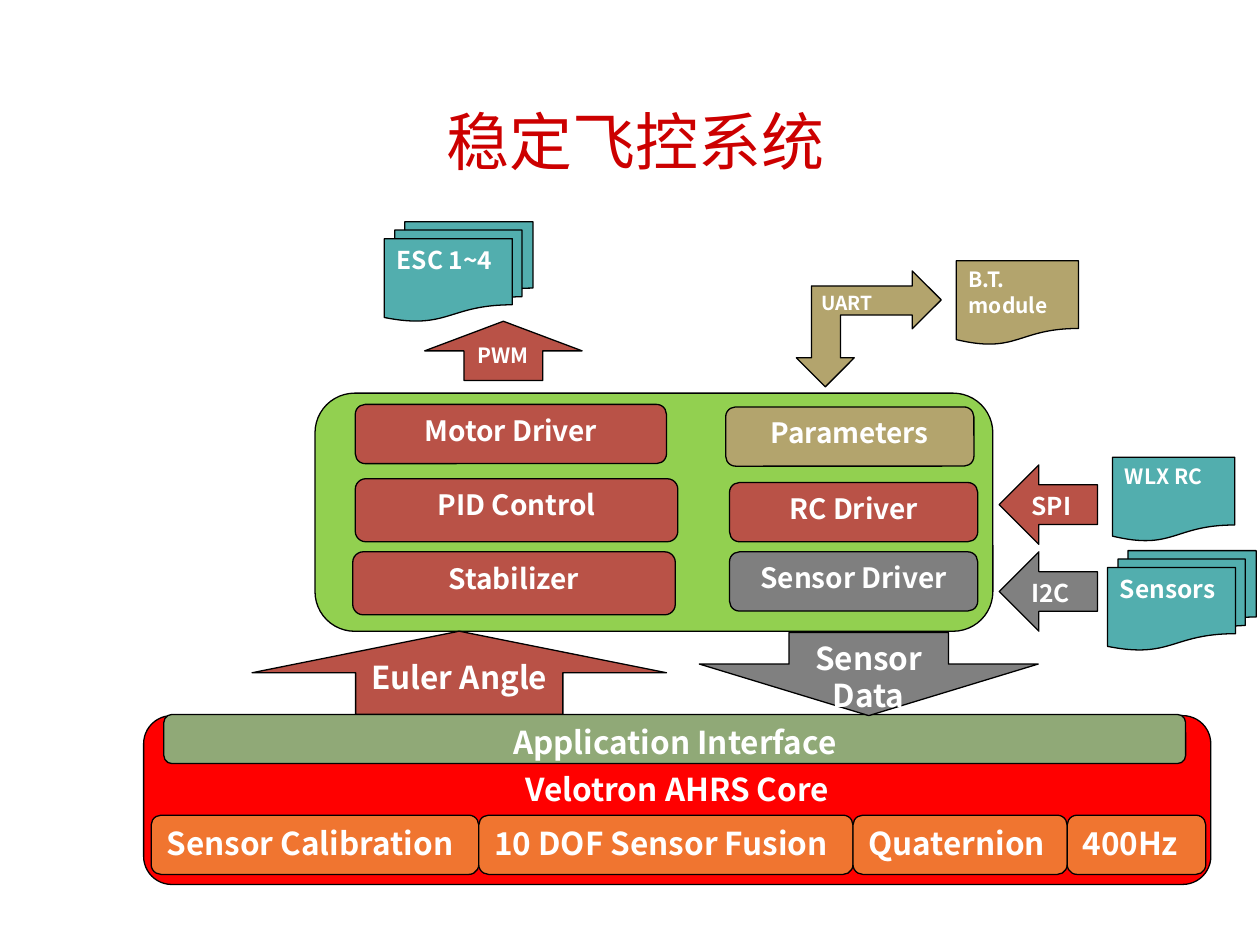
from collections import namedtuple

from pptx import Presentation
from pptx.dml.color import RGBColor
from pptx.enum.shapes import MSO_SHAPE
from pptx.enum.text import MSO_ANCHOR, MSO_AUTO_SIZE, PP_ALIGN
from pptx.util import Inches, Pt

LEFT, CENTER = PP_ALIGN.LEFT, PP_ALIGN.CENTER
TOP, MIDDLE = MSO_ANCHOR.TOP, MSO_ANCHOR.MIDDLE
ROUND = MSO_SHAPE.ROUNDED_RECTANGLE
PROCESS = MSO_SHAPE.FLOWCHART_ALTERNATE_PROCESS
DOCUMENT = MSO_SHAPE.FLOWCHART_DOCUMENT
MULTI = MSO_SHAPE.FLOWCHART_MULTIDOCUMENT
UP, DOWN, TO_LEFT = MSO_SHAPE.UP_ARROW, MSO_SHAPE.DOWN_ARROW, MSO_SHAPE.LEFT_ARROW

WIDTH, HEIGHT = Inches(10), Inches(7.5)
COLUMNS, ROWS = 1000, 750
COL, ROW = WIDTH / COLUMNS, HEIGHT / ROWS

BODY_FONT, TITLE_FONT = "Noto Sans CJK SC", "Arial"
COLORS = {
    "title": "CC0000", "text": "FFFFFF", "outline": "000000",
    "core": "FF0000", "module": "F07530", "interface": "90A977",
    "controller": "92D050", "control": "B95247", "sensor": "808080",
    "sensor_driver": "7F7F7F", "device": "52AEAE", "wireless": "B3A46D",
}


class Box(namedtuple("Box", "x y w h")):
    """Area in grid columns and rows."""

    def inner(self, dx, dy, w, h):
        return Box(self.x + dx, self.y + dy, w, h)

    def emu(self):
        return (round(self.x * COL), round(self.y * ROW),
                round(self.w * COL), round(self.h * ROW))


def color(key):
    return RGBColor.from_string(COLORS[key])


def write(frame, text, size, align=CENTER, font=BODY_FONT, key="text", bold=True):
    frame.word_wrap = True
    frame.margin_left = frame.margin_right = Inches(0.1)
    frame.margin_top = frame.margin_bottom = Inches(0.05)
    frame.vertical_anchor = TOP
    frame.text = text
    paragraph = frame.paragraphs[0]
    paragraph.alignment = align
    paragraph.font.name = font
    paragraph.font.size = Pt(size)
    paragraph.font.bold = bold
    paragraph.font.color.rgb = color(key)


def paint(shape, key):
    shape.shadow.inherit = False
    shape.fill.solid()
    shape.fill.fore_color.rgb = color(key)
    shape.line.color.rgb = color("outline")
    shape.line.width = Pt(0.75)


def block(slide, kind, box, key, text="", size=18, align=CENTER, adjust=()):
    shape = slide.shapes.add_shape(kind, *box.emu())
    paint(shape, key)
    for index, value in enumerate(adjust):
        shape.adjustments[index] = value
    if text:
        write(shape.text_frame, text, size, align)
    return shape


def add_title(slide, box):
    title = slide.shapes.title
    title.left, title.top, title.width, title.height = box.emu()
    write(title.text_frame, "稳定飞控系统", 36, font=TITLE_FONT, key="title", bold=False)
    title.text_frame.vertical_anchor = MIDDLE
    title.text_frame.auto_size = MSO_AUTO_SIZE.NONE


def add_core(slide, box):
    core = block(slide, PROCESS, box, "core", "Velotron AHRS Core")
    core.text_frame.margin_top = Inches(0.37)
    left = 6
    for text, width in (("Sensor Calibration", 260), ("10 DOF Sensor Fusion", 297),
                        ("Quaternion", 170), ("400Hz", 110)):
        block(slide, PROCESS, box.inner(left, 79, width, 47), "module", text, align=LEFT)
        left += width
    block(slide, PROCESS, box.inner(16, -1, 811, 39), "interface", "Application Interface")


def add_controller(slide, box):
    block(slide, ROUND, box, "controller")
    for text, key, *place in (
        ("Motor Driver", "control", 32, 9, 247, 47),
        ("PID Control", "control", 32, 68, 256, 50),
        ("Stabilizer", "control", 30, 126, 256, 50),
        ("Parameters", "wireless", 326, 11, 197, 47),
        ("RC Driver", "control", 329, 71, 197, 47),
        ("Sensor Driver", "sensor_driver", 329, 126, 197, 47),
    ):
        block(slide, ROUND, box.inner(*place), key, text, 16)


def add_core_links(slide, box):
    block(slide, DOWN, box.inner(355, 1, 269, box.h), "sensor", "Sensor Data",
          adjust=(0.47, 0.62))
    block(slide, UP, box.inner(0, 0, 329, box.h), "control", "Euler Angle")


def add_motor_output(slide, box):
    block(slide, UP, box.inner(32, 79, 125, 47), "control", "PWM", 12)
    block(slide, MULTI, box.inner(0, 0, 118, 79), "device", "ESC 1~4", 14, LEFT)


def add_inputs(slide, box):
    block(slide, TO_LEFT, box.inner(0, 6, 78, 63), "control", "SPI", 14, LEFT)
    block(slide, DOCUMENT, box.inner(90, 0, 97, 67), "device", "WLX RC", 12, LEFT)
    block(slide, TO_LEFT, box.inner(0, 75, 78, 63), "sensor", "I2C", 14, LEFT)
    block(slide, MULTI, box.inner(86, 74, 118, 79), "device", "Sensors", 14, LEFT)


def add_wireless(slide, box):
    """Two-headed bent arrow leading to the wireless module."""
    block(slide, DOCUMENT, box.inner(127, 0, 97, 67), "wireless", "B.T. module", 12, LEFT)
    corners = [(92, 0), (115, 23), (92, 46), (92, 35), (35, 35), (35, 69),
               (46, 69), (23, 92), (0, 69), (12, 69), (12, 12), (92, 12)]
    outline = slide.shapes.build_freeform(*corners[0], scale=(COL, ROW))
    outline.add_line_segments(corners[1:], close=True)
    left, top, _, _ = box.inner(0, 8, 115, 92).emu()
    paint(outline.convert_to_shape(left, top), "wireless")
    label = slide.shapes.add_textbox(*box.inner(10, 19, 95, 29).emu())
    write(label.text_frame, "UART", 11, LEFT)


def main():
    deck = Presentation()
    deck.slide_width, deck.slide_height = WIDTH, HEIGHT
    slide = deck.slides.add_slide(deck.slide_layouts[5])
    add_title(slide, Box(47, 76, 914, 70))
    add_core(slide, Box(114, 568, 847, 134))
    add_controller(slide, Box(250, 312, 538, 189))
    add_core_links(slide, Box(200, 501, 624, 66))
    add_motor_output(slide, Box(305, 176, 157, 126))
    add_inputs(slide, Box(793, 363, 204, 153))
    add_wireless(slide, Box(632, 207, 224, 100))
    deck.save("out.pptx")


if __name__ == "__main__":
    main()
